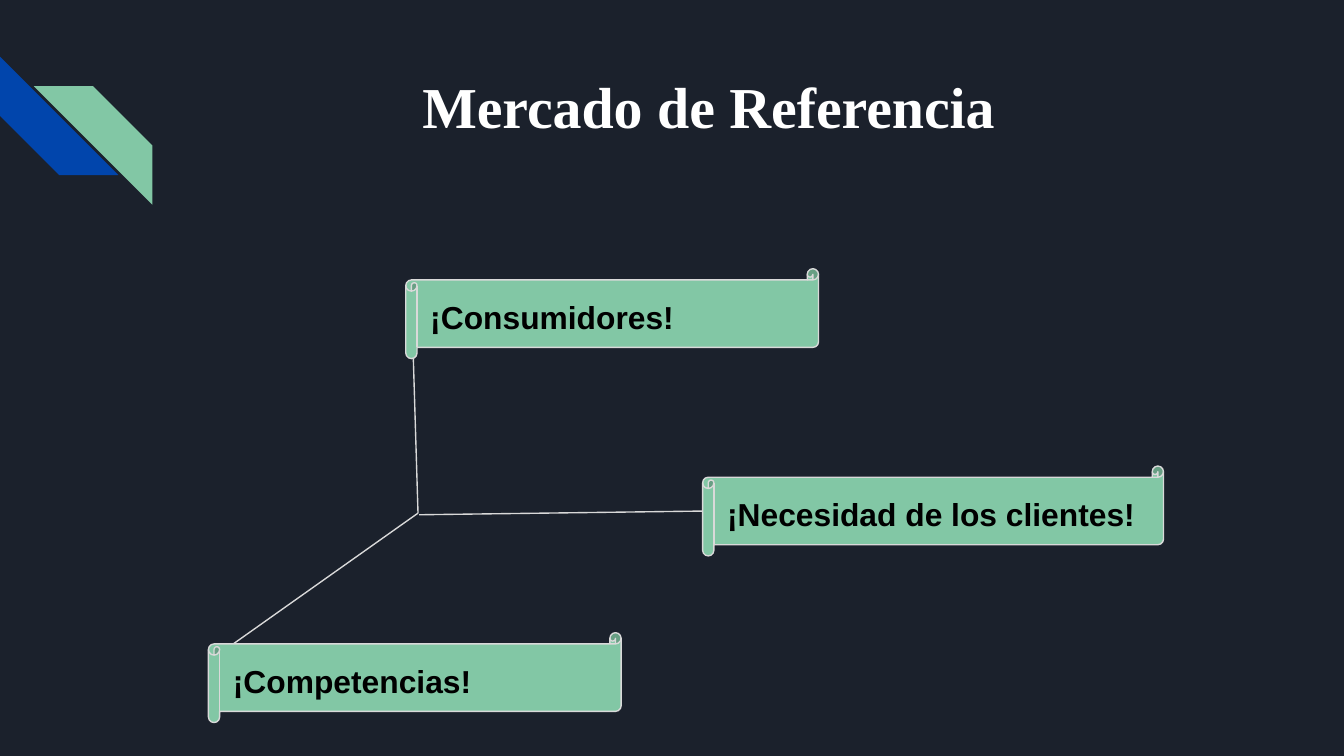
from pptx import Presentation
from pptx.dml.color import RGBColor
from pptx.enum.shapes import MSO_CONNECTOR, MSO_SHAPE
from pptx.enum.text import MSO_ANCHOR, PP_ALIGN
from pptx.oxml.ns import qn
from pptx.util import Cm, Pt
from lxml.etree import SubElement

NAVY = RGBColor(0x1B, 0x21, 0x2C)
BLUE = RGBColor(0x01, 0x45, 0xAC)
GREEN = RGBColor(0x82, 0xC7, 0xA5)
GREY = RGBColor(0xD9, 0xD9, 0xD9)
WHITE = RGBColor(0xFF, 0xFF, 0xFF)
BLACK = RGBColor(0x00, 0x00, 0x00)


def apply_format(target, values):
    for name, value in values.items():
        setattr(target, name, value)


def write_text(box, text, frame_format, para_format, font_format, color):
    frame = box.text_frame
    margins = dict.fromkeys(["margin_left", "margin_top", "margin_right", "margin_bottom"], Cm(0.25))
    apply_format(frame, {"word_wrap": True, **margins, **frame_format})
    para = frame.paragraphs[0]
    apply_format(para, para_format)
    span = para.add_run()
    span.text = text
    apply_format(span.font, {"bold": True, **font_format})
    span.font.color.rgb = color


deck = Presentation()
apply_format(deck, {"slide_width": Cm(25.4), "slide_height": Cm(14.29)})
page = deck.slides.add_slide(deck.slide_layouts[6])
page.background.fill.solid()
page.background.fill.fore_color.rgb = NAVY

for left, top, rotation, color in [(0, 1.07, 270, BLUE), (0.64, 1.63, 90, GREEN)]:
    stripe = page.shapes.add_shape(MSO_SHAPE.DIAGONAL_STRIPE, Cm(left), Cm(top), Cm(2.24), Cm(2.24))
    stripe.adjustments[0] = 0.5
    stripe.rotation = rotation
    stripe.shadow.inherit = False
    stripe.fill.solid()
    stripe.fill.fore_color.rgb = color
    stripe.line.fill.background()

title = page.shapes.add_textbox(Cm(3.61), Cm(1.09), Cm(19.56), Cm(2.54))
write_text(
    title,
    "Mercado de Referencia",
    {"vertical_anchor": MSO_ANCHOR.TOP},
    {"alignment": PP_ALIGN.CENTER},
    {"name": "Times New Roman", "size": Pt(31)},
    WHITE,
)

branches = []
for start_x, start_y, end_x, end_y in [
    (7.77, 5.41, 7.9, 9.7),
    (7.92, 9.73, 13.28, 9.7),
    (7.9, 9.7, 4.17, 12.34),
]:
    branch = page.shapes.add_connector(
        MSO_CONNECTOR.STRAIGHT, Cm(start_x), Cm(start_y), Cm(end_x), Cm(end_y)
    )
    branch.line.color.rgb = GREY
    branch.line.width = Pt(0.75)
    SubElement(branch._element.spPr, qn("a:effectLst"))
    branches.append(branch)

scrolls = []
for text, left, top, width in [
    ("¡Necesidad de los clientes!", 13.28, 8.81, 8.71),
    ("¡Consumidores!", 7.67, 5.08, 7.8),
    ("¡Competencias!", 3.94, 11.96, 7.8),
]:
    scroll = page.shapes.add_shape(MSO_SHAPE.HORIZONTAL_SCROLL, Cm(left), Cm(top), Cm(width), Cm(1.7))
    scroll.adjustments[0] = 0.125
    scroll.shadow.inherit = False
    scroll.fill.solid()
    scroll.fill.fore_color.rgb = GREEN
    scroll.line.color.rgb = GREY
    scroll.line.width = Pt(0.75)
    write_text(
        scroll,
        text,
        {"vertical_anchor": MSO_ANCHOR.MIDDLE},
        {
            "alignment": PP_ALIGN.LEFT,
            "line_spacing": 1.15,
            "space_before": Pt(12),
            "space_after": Pt(12),
        },
        {"name": "Arial", "size": Pt(17)},
        BLACK,
    )
    scrolls.append(scroll)

branches[1].end_connect(scrolls[0], 1)

deck.save("out.pptx")
